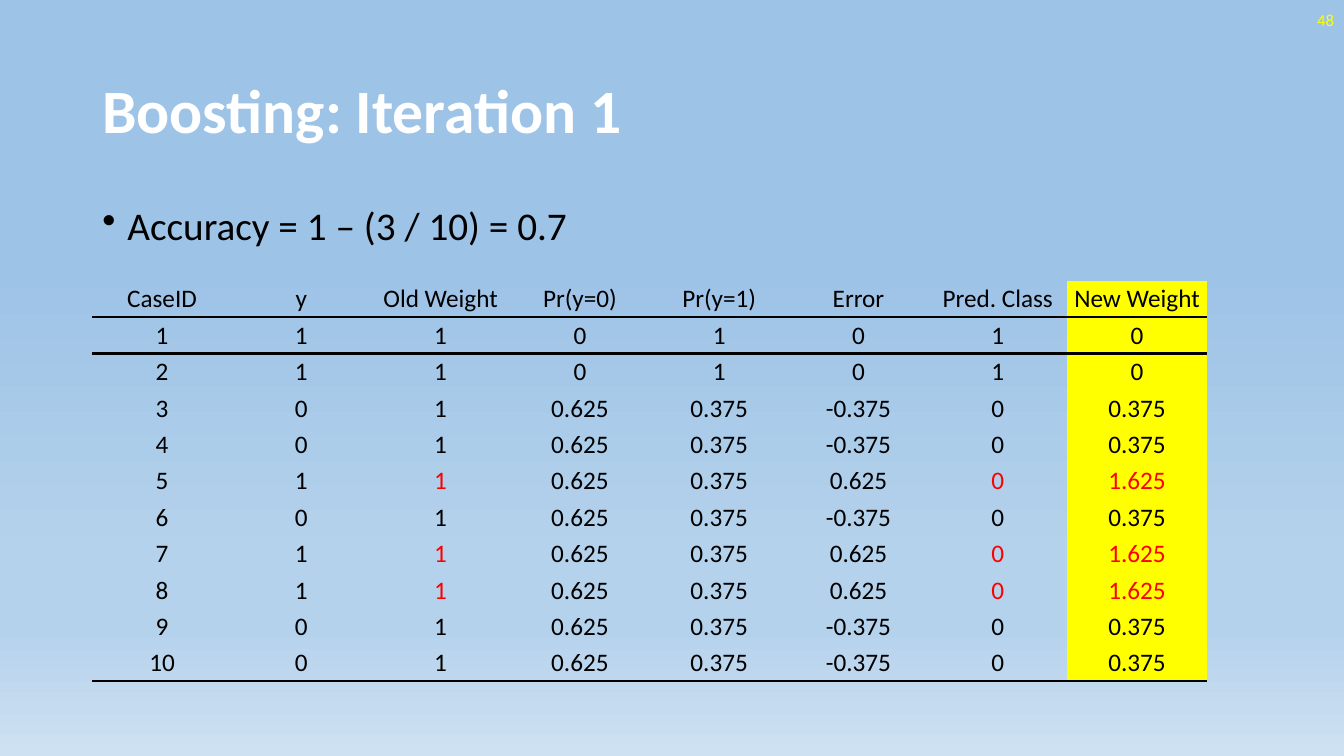
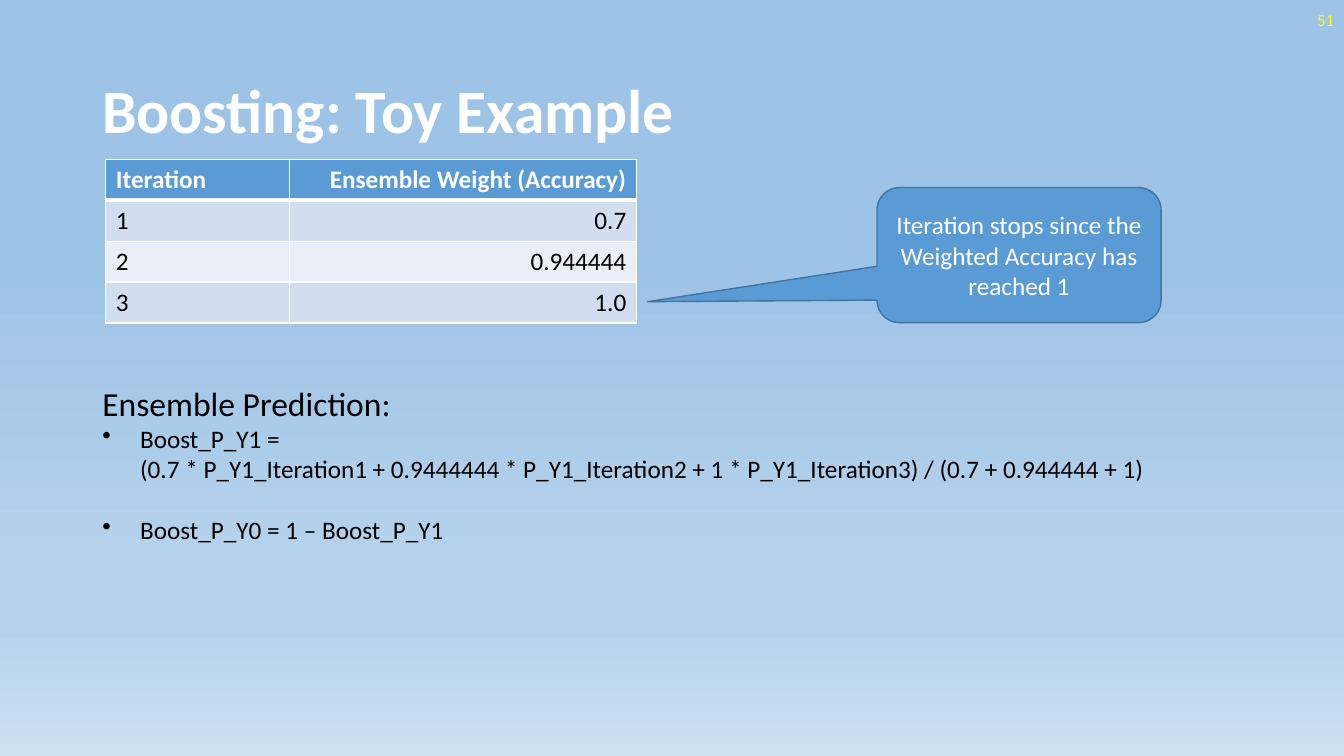
from dataclasses import dataclass

from lxml import etree
from pptx import Presentation
from pptx.dml.color import RGBColor
from pptx.enum.shapes import MSO_SHAPE
from pptx.enum.text import MSO_ANCHOR, PP_ALIGN
from pptx.oxml.ns import qn
from pptx.util import Pt

LEFT, MID, RIGHT = PP_ALIGN.LEFT, PP_ALIGN.CENTER, PP_ALIGN.RIGHT
TOP, CENTER = MSO_ANCHOR.TOP, MSO_ANCHOR.MIDDLE
CALLOUT = MSO_SHAPE.ROUNDED_RECTANGULAR_CALLOUT
BARE = "{2D5ABB26-0587-4C30-8999-92F81FD0307C}"


@dataclass(frozen=True)
class Theme:
    font: str = "Calibri"
    ink: str = "000000"
    white: str = "FFFFFF"
    blue: str = "5B9BD5"
    edge: str = "43739E"
    bands: tuple = ("D2DEEF", "EAEFF7")
    yellow: str = "FFFF00"
    red: str = "FF0000"
    sky: tuple = ((35, "9DC3E6"), (74, "B5D2EC"), (83, "B5D2EC"), (100, "CEE1F2"))
    title: int = 44
    body: int = 28
    lead: int = 24
    text: int = 18
    small: int = 12


T = Theme()


def rgb(color):
    return RGBColor.from_string(color)


def points(box):
    return [Pt(value) for value in box]


def style(para, size, color, align=LEFT, bold=False):
    para.alignment = align
    for run in para.runs:
        font = run.font
        font.name, font.size, font.bold = T.font, Pt(size), bold
        font.color.rgb = rgb(color)


def bullet(para, indent):
    props = para._p.get_or_add_pPr()
    props.set("marL", str(Pt(indent)))
    props.set("indent", str(-Pt(indent)))
    etree.SubElement(props, qn("a:buChar"), char="•")


def label(slide, box, text, size, color, align=LEFT, anchor=TOP, bold=False):
    frame = slide.shapes.add_textbox(*points(box)).text_frame
    frame.word_wrap = True
    frame.vertical_anchor = anchor
    frame.text = text
    para = frame.paragraphs[0]
    style(para, size, color, align, bold)
    return para


def paint(master):
    fill = master.background.fill
    fill.gradient()
    fill.gradient_angle = 270
    stops = master.element.xpath("p:cSld/p:bg//a:gsLst")[0]
    for stop in list(stops):
        stops.remove(stop)
    for place, color in T.sky:
        stop = etree.SubElement(stops, qn("a:gs"), pos=str(place * 1000))
        etree.SubElement(stop, qn("a:srgbClr"), val=color)


def head(slide, box, title, number):
    x, y, w, h = box
    para = label(slide, (x + 66, y + 28.8, w - 132, 104.4), title,
                 T.title, T.white, anchor=CENTER, bold=True)
    para.line_spacing = 0.9
    label(slide, (x + w - 216, y, 216, 28.8), number,
          T.small, T.yellow, RIGHT, CENTER)


def grid(slide, box, rows, widths):
    shape = slide.shapes.add_table(len(rows), len(widths), *points(box))
    table = shape.table
    table.first_row = table.horz_banding = False
    table._tbl.tblPr.find(qn("a:tableStyleId")).text = BARE
    for col, width in zip(table.columns, widths):
        col.width = Pt(width)
    for row, values in zip(table.rows, rows):
        row.height = Pt(box[3] / len(rows))
        for cell, value in zip(row.cells, values):
            cell.text_frame.text = value
    return table


def border(cell, color, **sides):
    props = cell._tc.get_or_add_tcPr()
    for side in "LRTB":
        if side in sides:
            line = etree.SubElement(props, qn("a:ln" + side), w=str(Pt(sides[side])))
            fill = etree.SubElement(line, qn("a:solidFill"))
            etree.SubElement(fill, qn("a:srgbClr"), val=color)


def shade(cell, color):
    cell.fill.solid()
    cell.fill.fore_color.rgb = rgb(color)


def cases():
    rows, misses = [], set()
    for case, y in enumerate((1, 1, 0, 0, 1, 0, 1, 1, 0, 0), 1):
        prob = 1 if case < 3 else 0.375
        error, pred = y - prob, int(prob > 0.5)
        miss = pred != y
        if miss:
            misses.add(case)
        values = (case, y, 1, 1 - prob, prob, error, pred, abs(error) + miss)
        rows.append([f"{value:g}" for value in values])
    return rows, misses


def weights(slide, box):
    names = ["CaseID", "y", "Old Weight", "Pr(y=0)", "Pr(y=1)", "Error",
             "Pred. Class", "New Weight"]
    rows, misses = cases()
    count, last = len(names), len(rows)
    table = grid(slide, box, [names] + rows, [box[2] / count] * count)
    for r, row in enumerate(table.rows):
        for c, cell in enumerate(row.cells):
            cell.margin_left = cell.margin_right = cell.margin_top = Pt(0.7)
            cell.margin_bottom = 0
            cell.vertical_anchor = CENTER
            color = T.red if r in misses and c in (2, 6, 7) else T.ink
            style(cell.text_frame.paragraphs[0], T.text, color, MID)
            if r == 1:
                border(cell, T.ink, T=2)
            if r in (0, last):
                border(cell, T.ink, B=2)
            if c == count - 1:
                shade(cell, T.yellow)


def scores(slide, box):
    rows = [("Iteration", "Ensemble Weight (Accuracy)"),
            ("1", "0.7"), ("2", "0.944444"), ("3", "1.0")]
    first = 131
    table = grid(slide, box, rows, (first, box[2] - first))
    for r, row in enumerate(table.rows):
        top = r == 0
        for cell, align in zip(row.cells, (LEFT, RIGHT)):
            style(cell.text_frame.paragraphs[0], T.text,
                  T.white if top else T.ink, align, top)
            border(cell, T.white, L=1, R=1, T=3 if r == 1 else 1, B=3 if top else 1)
            shade(cell, T.blue if top else T.bands[(r - 1) % 2])


def remark(slide, box, text):
    shape = slide.shapes.add_shape(CALLOUT, *points(box))
    shape.shadow.inherit = False
    for i, value in enumerate((-1.307, 0.345, 0.167)):
        shape.adjustments[i] = value
    shape.fill.solid()
    shape.fill.fore_color.rgb = rgb(T.blue)
    shape.line.color.rgb = rgb(T.edge)
    shape.line.width = Pt(1)
    frame = shape.text_frame
    frame.word_wrap = True
    frame.vertical_anchor = CENTER
    frame.text = text
    style(frame.paragraphs[0], T.text, T.white, MID)


def formula(slide, box):
    lead = label(slide, box, "Ensemble Prediction:", T.lead, T.ink)
    frame = lead._parent
    lines = [
        ("Boost_P_Y1 =\n(0.7 * P_Y1_Iteration1 + 0.9444444 * P_Y1_Iteration2"
         " + 1 * P_Y1_Iteration3) / (0.7 + 0.944444 + 1)", 0),
        ("Boost_P_Y0 = 1 – Boost_P_Y1", 22),
    ]
    for text, gap in lines:
        para = frame.add_paragraph()
        para.text = text
        para.space_before = Pt(gap)
        style(para, T.text, T.ink)
        bullet(para, 27)


def first(slide, box):
    x, y, w, h = box
    head(slide, box, "Boosting: Iteration 1", "48")
    para = label(slide, (x + 66, y + 144, w - 132, 50),
                 "Accuracy = 1 – (3 / 10) = 0.7", T.body, T.ink)
    para.line_spacing = 0.9
    bullet(para, 18)
    weights(slide, (x + 66, y + 200.4, 796, 286))


def second(slide, box):
    x, y, w, h = box
    head(slide, box, "Boosting: Toy Example", "51")
    scores(slide, (x + 75.6, y + 113.8, 379, 117))
    formula(slide, (x + 66, y + 270, 802, 124))
    remark(slide, (x + 626.4, y + 134, 203, 96.5),
           "Iteration stops since the Weighted Accuracy has reached 1")


def main():
    deck = Presentation()
    box = (0, 0, 960, 540)
    deck.slide_width, deck.slide_height = points(box[2:])
    paint(deck.slide_master)
    for build in (first, second):
        build(deck.slides.add_slide(deck.slide_layouts[6]), box)
    deck.save("out.pptx")


if __name__ == "__main__":
    main()
